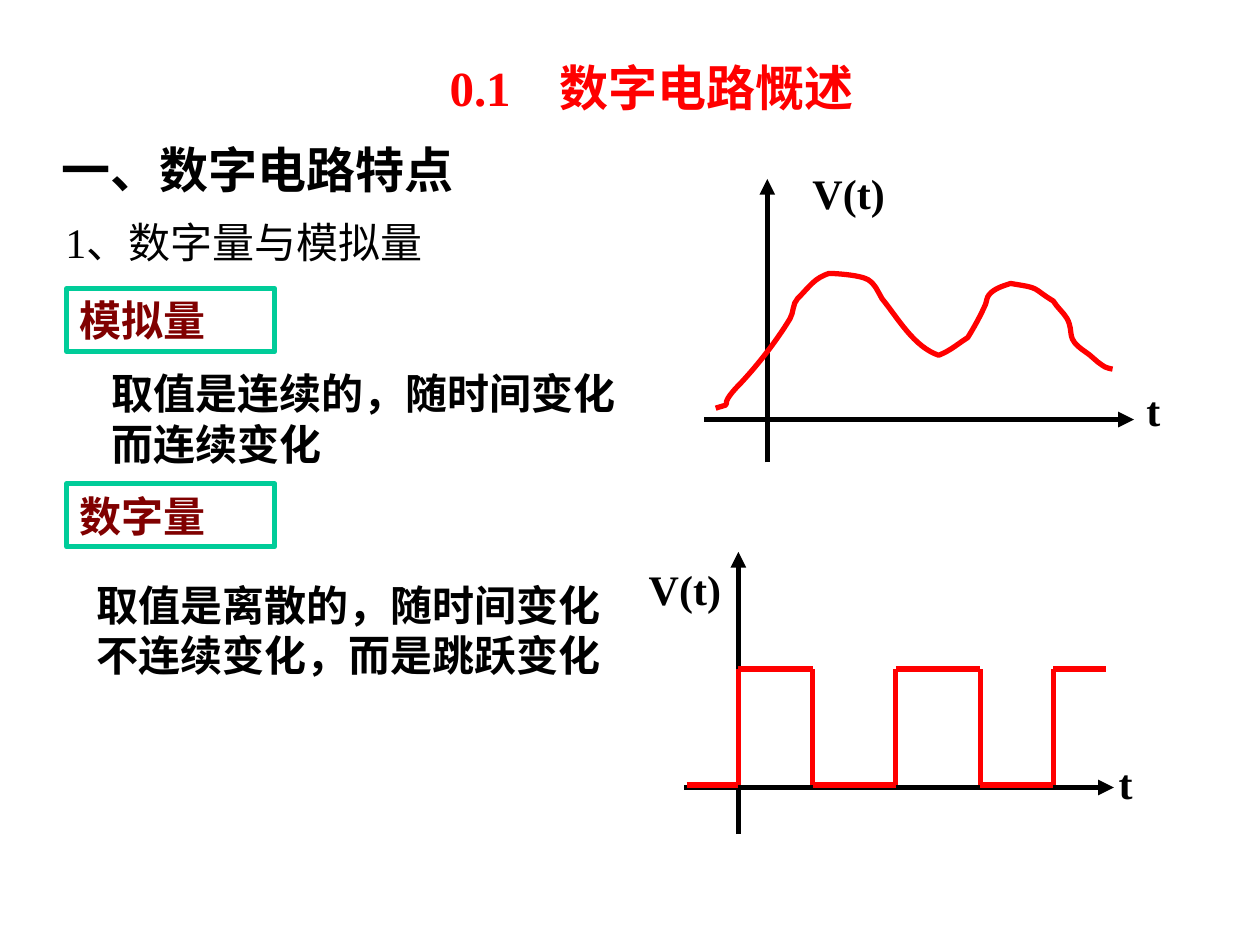
from itertools import pairwise

from lxml import etree
from pptx import Presentation
from pptx import util as u
from pptx.dml.color import RGBColor
from pptx.enum import shapes, text
from pptx.oxml.ns import qn

BLACK = RGBColor(0, 0, 0)
RED = RGBColor(0xFF, 0, 0)
MAROON = RGBColor(0x80, 0, 0)
GREEN = RGBColor(0, 0xCC, 0x99)
FONT = "Times New Roman"
STROKE = u.Pt(3)

# Square wave: low and high levels, and the times at which it jumps
LOW, HIGH = 6.23, 5.31
WAVE_START, WAVE_END = 5.45, 8.78
JUMPS = [5.86, 6.45, 7.11, 7.78, 8.36]

# Analog curve: a start point, then control, control, end for each arc
CURVE = [
    (5.68, 3.24),
    (5.87, 3.18), (5.65, 3.27), (5.88, 3.04),
    (6.02, 2.89), (6.16, 2.71), (6.27, 2.53),
    (6.30, 2.48), (6.29, 2.41), (6.33, 2.37),
    (6.43, 2.27), (6.46, 2.21), (6.58, 2.17),
    (6.61, 2.17), (6.82, 2.18), (6.89, 2.22),
    (6.95, 2.26), (6.97, 2.32), (7.00, 2.37),
    (7.13, 2.53), (7.25, 2.75), (7.45, 2.82),
    (7.55, 2.78), (7.60, 2.73), (7.68, 2.68),
    (7.73, 2.60), (7.78, 2.51), (7.82, 2.42),
    (7.83, 2.40), (7.83, 2.36), (7.85, 2.34),
    (7.89, 2.29), (7.96, 2.27), (8.02, 2.25),
    (8.27, 2.29), (8.18, 2.28), (8.36, 2.39),
    (8.39, 2.44), (8.44, 2.48), (8.47, 2.53),
    (8.53, 2.65), (8.45, 2.68), (8.61, 2.79),
    (8.66, 2.82), (8.70, 2.87), (8.75, 2.90),
    (8.77, 2.92), (8.83, 2.93), (8.83, 2.93),
]


def inches(values):
    return [u.Inches(value) for value in values]


def write(box, words, size=24, color=BLACK, bold=True,
          align=text.PP_ALIGN.LEFT, anchor=text.MSO_ANCHOR.TOP):
    frame = box.text_frame
    frame.word_wrap = True
    frame.auto_size = text.MSO_AUTO_SIZE.NONE
    frame.vertical_anchor = anchor
    para = frame.paragraphs[0]
    para.alignment = align
    span = para.add_run()
    span.text = words
    span.font.name = FONT
    span.font.size = u.Pt(size)
    span.font.bold = bold
    span.font.color.rgb = color


def add_text(parent, place, words, **style):
    write(parent.shapes.add_textbox(*inches(place)), words, **style)


def add_term(page, top, words):
    box = page.shapes.add_shape(shapes.MSO_SHAPE.RECTANGLE,
                                *inches((0.53, top, 1.65, 0.5)))
    box.shadow.inherit = False
    box.fill.background()
    box.line.color.rgb = GREEN
    box.line.width = STROKE
    write(box, words, color=MAROON)


def add_line(parent, start, end, color, arrow=False):
    line = parent.shapes.add_connector(shapes.MSO_CONNECTOR.STRAIGHT,
                                       *inches(start + end))
    line.line.color.rgb = color
    line.line.width = STROKE
    props = line.element.spPr
    if arrow:
        etree.SubElement(props.find(qn("a:ln")), qn("a:tailEnd"), type="triangle")
    etree.SubElement(props, qn("a:effectLst"))


def add_axes(page, left, right, time_y, zero_x, bottom, top, v_place, t_place):
    group = page.shapes.add_group_shape()
    add_text(group, t_place, "t")
    add_line(group, (left, time_y), (right, time_y), BLACK, arrow=True)
    add_line(group, (zero_x, bottom), (zero_x, top), BLACK, arrow=True)
    add_text(group, v_place, "V(t)")


def add_curve(page, points):
    points = [tuple(inches(point)) for point in points]
    builder = page.shapes.build_freeform(*points[0])
    builder.add_line_segments(points[1:], close=False)
    curve = builder.convert_to_shape()
    curve.shadow.inherit = False
    curve.fill.background()
    curve.line.color.rgb = RED
    curve.line.width = STROKE
    # Join every three straight segments into one cubic arc
    outline = next(curve.element.iter(qn("a:path")))
    segments = outline.findall(qn("a:lnTo"))
    for first in range(0, len(segments), 3):
        arc = etree.SubElement(outline, qn("a:cubicBezTo"))
        for segment in segments[first:first + 3]:
            arc.append(segment[0])
            outline.remove(segment)


def add_square_wave(page):
    corners, level = [(WAVE_START, LOW)], LOW
    for jump in JUMPS:
        corners.append((jump, level))
        level = HIGH if level == LOW else LOW
        corners.append((jump, level))
    corners.append((WAVE_END, level))
    group = page.shapes.add_group_shape()
    for start, end in pairwise(corners):
        add_line(group, start, end, RED)


def main():
    deck = Presentation()
    deck.slide_width, deck.slide_height = inches((10, 7.5))
    page = deck.slides.add_slide(deck.slide_layouts[5])

    # Title and headings
    title = page.shapes.title
    title.left, title.top, title.width, title.height = inches((1.97, 0.41, 6.4, 0.57))
    write(title, "0.1\u3000数字电路慨述", size=28, color=RED,
          align=text.PP_ALIGN.CENTER)
    add_text(page, (0.39, 0.98, 4.75, 0.72), "一、数字电路特点", size=28,
             anchor=text.MSO_ANCHOR.MIDDLE)
    add_text(page, (0.42, 1.67, 3.74, 0.5), "1、数字量与模拟量", bold=False)

    # Terms and their definitions
    add_term(page, 2.29, "模拟量")
    add_text(page, (0.79, 2.87, 4.41, 0.91), "取值是连续的，随时间变化而连续变化")
    add_term(page, 3.84, "数字量")
    add_text(page, (0.67, 4.55, 4.47, 0.91),
             "取值是离散的，随时间变化不连续变化，而是跳跃变化")

    # Analog signal
    add_axes(page, left=5.59, right=9, time_y=3.33, zero_x=6.09,
             bottom=3.67, top=1.42,
             v_place=(6.35, 1.28, 1.1, 0.5), t_place=(9, 3, 0.67, 0.5))
    add_curve(page, CURVE)

    # Digital signal
    add_axes(page, left=5.43, right=8.84, time_y=6.25, zero_x=5.86,
             bottom=6.62, top=4.38,
             v_place=(5.05, 4.42, 0.85, 0.5), t_place=(8.78, 5.96, 0.67, 0.5))
    add_square_wave(page)

    deck.save("out.pptx")


main()
